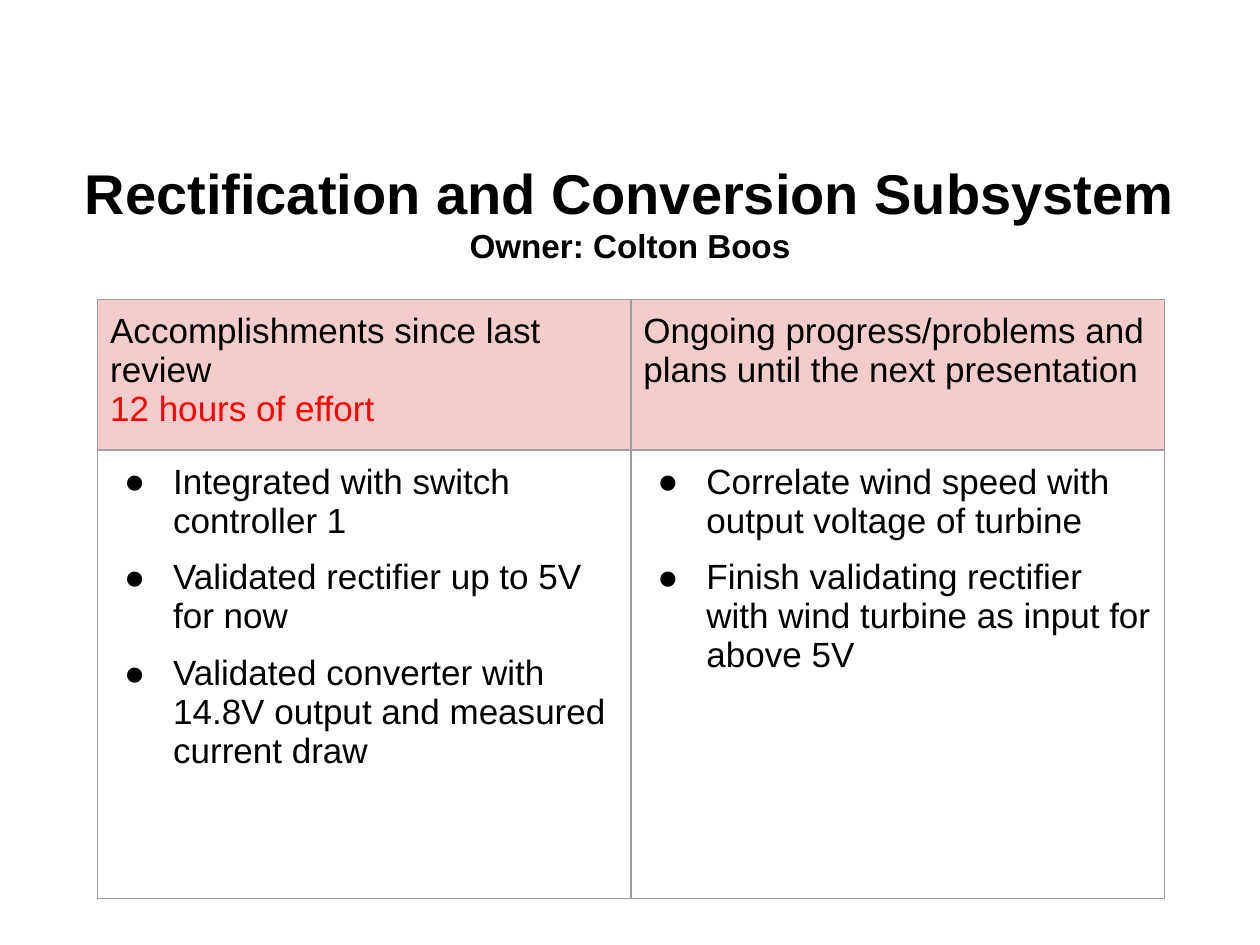
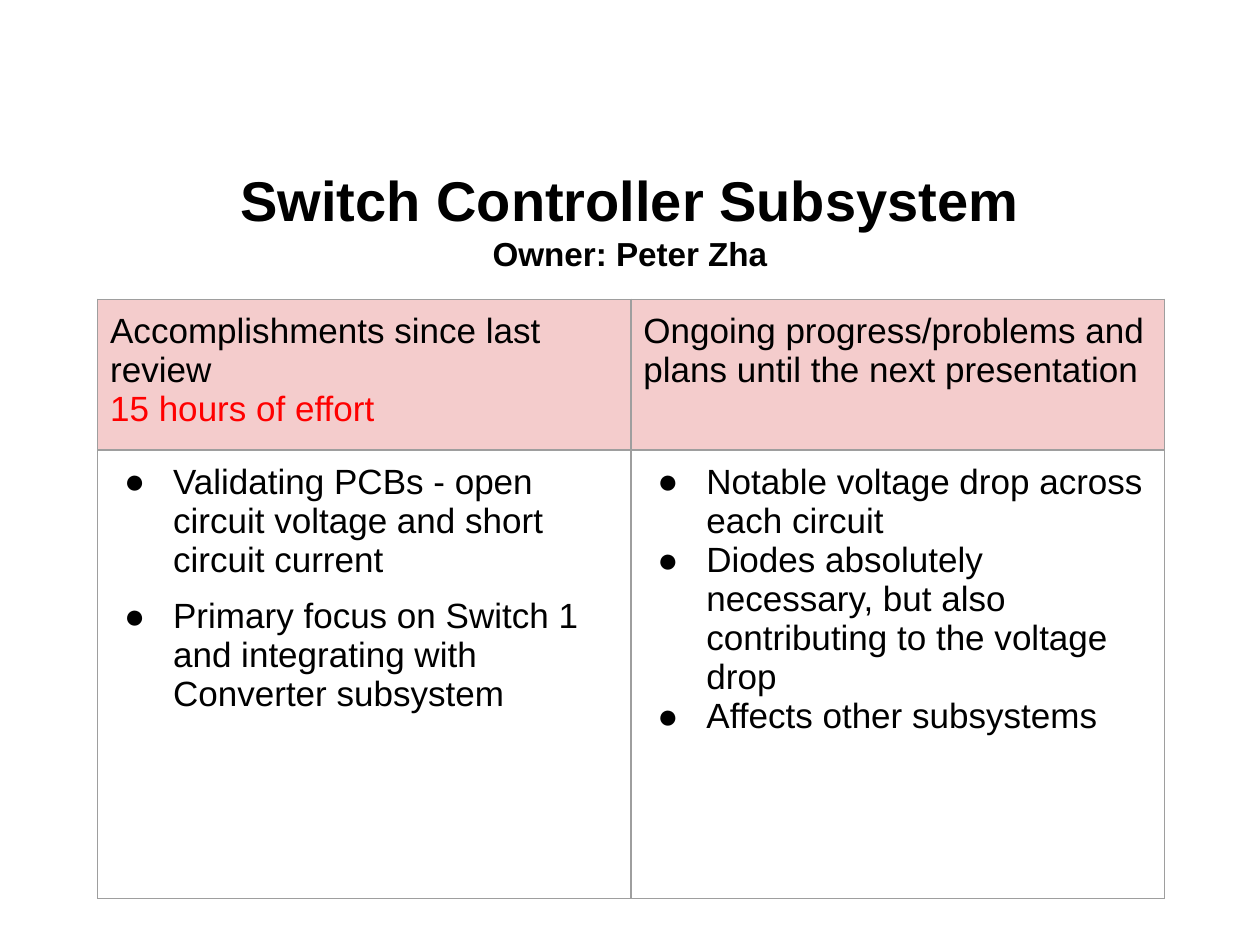
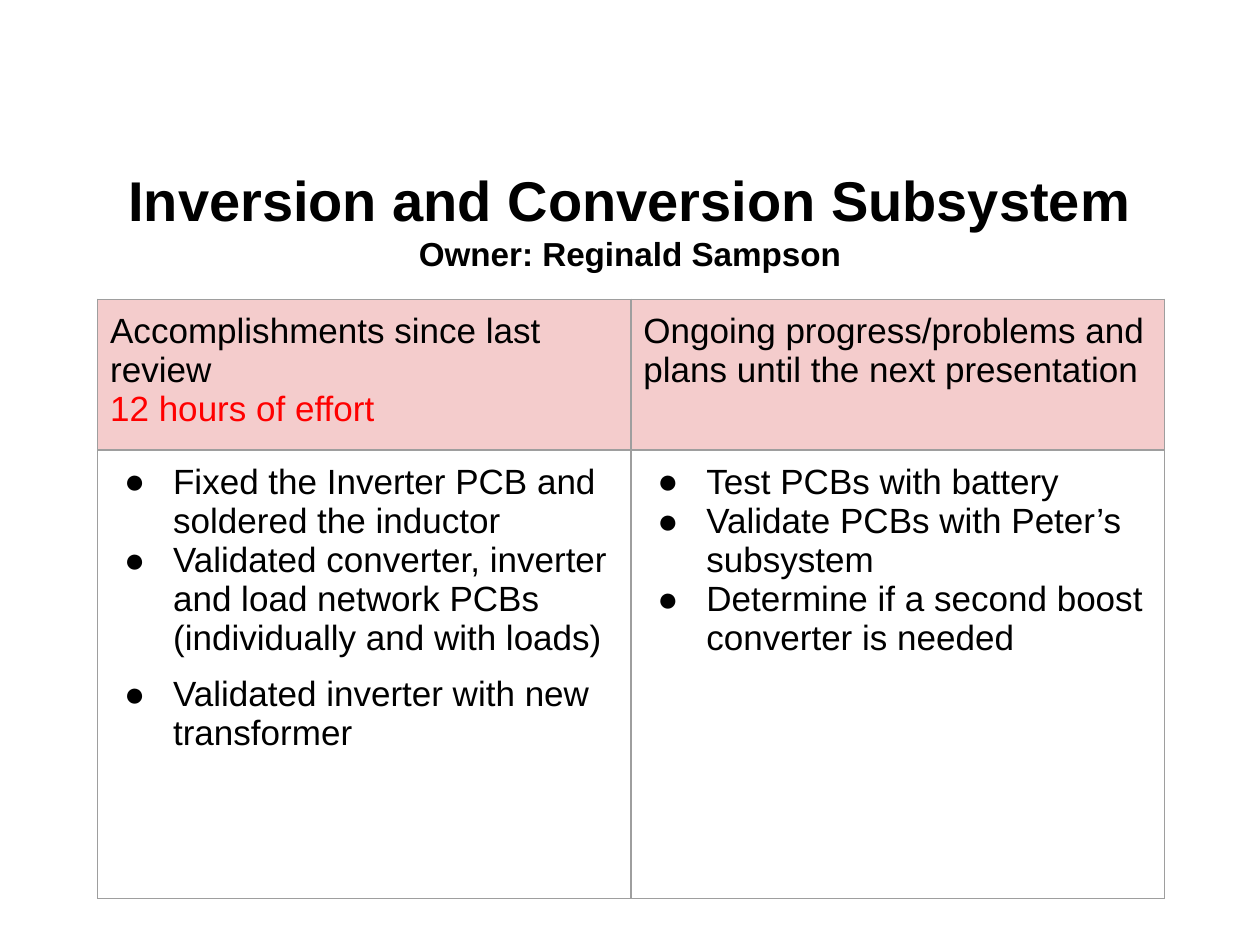
from lxml import etree
from pptx import Presentation
from pptx.dml.color import RGBColor
from pptx.enum.text import MSO_ANCHOR, PP_ALIGN
from pptx.oxml.ns import qn
from pptx.util import Cm, Pt

BLACK = RGBColor(0x00, 0x00, 0x00)
EFFORT_RED = RGBColor(0xFF, 0x00, 0x00)
HEADER_PINK = RGBColor(0xF4, 0xCC, 0xCC)
BORDER_GREY = RGBColor(0x9E, 0x9E, 0x9E)
CENTER = PP_ALIGN.CENTER
MIDDLE = MSO_ANCHOR.MIDDLE

FONT = "Arial"
BODY_SIZE = Pt(20)
TITLE_FORMAT = {"size": Pt(32), "bold": True}
OWNER_FORMAT = {"size": Pt(19), "bold": True}
TITLE_INSETS = {"margin_left": Cm(0.25), "margin_right": Cm(0.25),
                "margin_top": Cm(0.13), "margin_bottom": Cm(0.13)}
CELL_INSETS = dict.fromkeys(TITLE_INSETS, Cm(0.25))

TITLE_BOX = (Cm(1.27), Cm(2.92), Cm(22.86), Cm(3))
RAISED_TITLE_BOX = (Cm(1.27), Cm(2.77), Cm(22.86), Cm(3))
REVIEW_BOX = (Cm(1.97), Cm(6.03), Cm(21.5), Cm(11.43))
HEADER_HEIGHT = Cm(2.39)
BULLET_INDENT = Cm(1.27)
BULLET_HANG = Cm(0.99)

DONE_HEADING = "Accomplishments since last review"
PLANS_HEADING = "Ongoing progress/problems and plans until the next presentation"

# Each bullet is its text and the points of space before it.
SUBSYSTEMS = [
    {
        "title": "Rectification and Conversion Subsystem",
        "owner": "Colton Boos",
        "title_box": RAISED_TITLE_BOX,
        "hours": 12,
        "done": [
            ("Integrated with switch controller 1", 0),
            ("Validated rectifier up to 5V for now", 10),
            ("Validated converter with 14.8V output and measured current draw", 10),
        ],
        "plans": [
            ("Correlate wind speed with output voltage of turbine", 0),
            ("Finish validating rectifier with wind turbine as input for above 5V", 10),
        ],
    },
    {
        "title": "Switch Controller Subsystem",
        "owner": "Peter Zha",
        "title_box": TITLE_BOX,
        "hours": 15,
        "done": [
            ("Validating PCBs - open circuit voltage and short circuit current", 0),
            ("Primary focus on Switch 1 and integrating with Converter subsystem", 10),
        ],
        "plans": [
            ("Notable voltage drop across each circuit", 0),
            ("Diodes absolutely necessary, but also contributing to the voltage drop", 0),
            ("Affects other subsystems", 0),
        ],
    },
    {
        "title": "Inversion and Conversion Subsystem",
        "owner": "Reginald Sampson",
        "title_box": TITLE_BOX,
        "hours": 12,
        "done": [
            ("Fixed the Inverter PCB and soldered the inductor", 0),
            ("Validated converter, inverter and load network PCBs "
             "(individually and with loads)", 0),
            ("Validated inverter with new transformer", 10),
        ],
        "plans": [
            ("Test PCBs with battery", 0),
            ("Validate PCBs with Peter’s subsystem", 0),
            ("Determine if a second boost converter is needed", 0),
        ],
    },
]


def set_attributes(target, values):
    for name, value in values.items():
        setattr(target, name, value)


def add_paragraph(frame, text, font_format, color=BLACK):
    """Fill the frame's empty first paragraph, or append a new one."""
    first = frame.paragraphs[0]
    paragraph = frame.add_paragraph() if first.runs else first
    run = paragraph.add_run()
    run.text = text
    set_attributes(run.font, {"name": FONT, **font_format})
    run.font.color.rgb = color
    return paragraph


def add_color(parent, tag, color):
    holder = etree.SubElement(parent, qn(tag))
    etree.SubElement(holder, qn("a:srgbClr"), val=str(color))


def add_bullet(frame, text, space_before):
    paragraph = add_paragraph(frame, text, {"size": BODY_SIZE})
    properties = paragraph._p.get_or_add_pPr()
    properties.set("marL", str(BULLET_INDENT))
    properties.set("indent", str(-BULLET_HANG))
    add_color(properties, "a:buClr", BLACK)
    etree.SubElement(properties, qn("a:buFont"), typeface=FONT)
    etree.SubElement(properties, qn("a:buChar"), char="●")
    if space_before:
        paragraph.space_before = Pt(space_before)


def style_cell(cell, fill_color=None):
    set_attributes(cell, CELL_INSETS)
    properties = cell._tc.get_or_add_tcPr()
    for side in ("a:lnL", "a:lnR", "a:lnT", "a:lnB"):
        border = etree.SubElement(properties, qn(side), w=str(Pt(0.75)))
        add_color(border, "a:solidFill", BORDER_GREY)
    if fill_color is None:
        cell.fill.background()
    else:
        cell.fill.solid()
        cell.fill.fore_color.rgb = fill_color


def add_title(slide, box, title, owner):
    frame = slide.shapes.add_textbox(*box).text_frame
    set_attributes(frame, {"word_wrap": True, "vertical_anchor": MIDDLE, **TITLE_INSETS})
    add_paragraph(frame, title, TITLE_FORMAT).alignment = CENTER
    add_paragraph(frame, f"Owner: {owner}", OWNER_FORMAT).alignment = CENTER


def add_review_table(slide, box, hours, done, plans):
    width, height = box[2:]
    table = slide.shapes.add_table(2, 2, *box).table
    set_attributes(table, {"first_row": False, "horz_banding": False})
    for column in table.columns:
        column.width = width // 2
    table.rows[0].height = HEADER_HEIGHT
    table.rows[1].height = height - HEADER_HEIGHT

    for index, (heading, bullets) in enumerate([(DONE_HEADING, done), (PLANS_HEADING, plans)]):
        header, body = table.cell(0, index), table.cell(1, index)
        style_cell(header, HEADER_PINK)
        style_cell(body)
        add_paragraph(header.text_frame, heading, {"size": BODY_SIZE})
        for text, space_before in bullets:
            add_bullet(body.text_frame, text, space_before)
    add_paragraph(table.cell(0, 0).text_frame, f"{hours} hours of effort",
                  {"size": BODY_SIZE}, EFFORT_RED)


def add_subsystem_slide(presentation, subsystem):
    slide = presentation.slides.add_slide(presentation.slide_layouts[6])
    add_title(slide, subsystem["title_box"], subsystem["title"], subsystem["owner"])
    add_review_table(slide, REVIEW_BOX, subsystem["hours"],
                     subsystem["done"], subsystem["plans"])


def main():
    presentation = Presentation()
    presentation.slide_width = Cm(25.4)
    presentation.slide_height = Cm(19.05)
    for subsystem in SUBSYSTEMS:
        add_subsystem_slide(presentation, subsystem)
    presentation.save("out.pptx")


if __name__ == "__main__":
    main()
